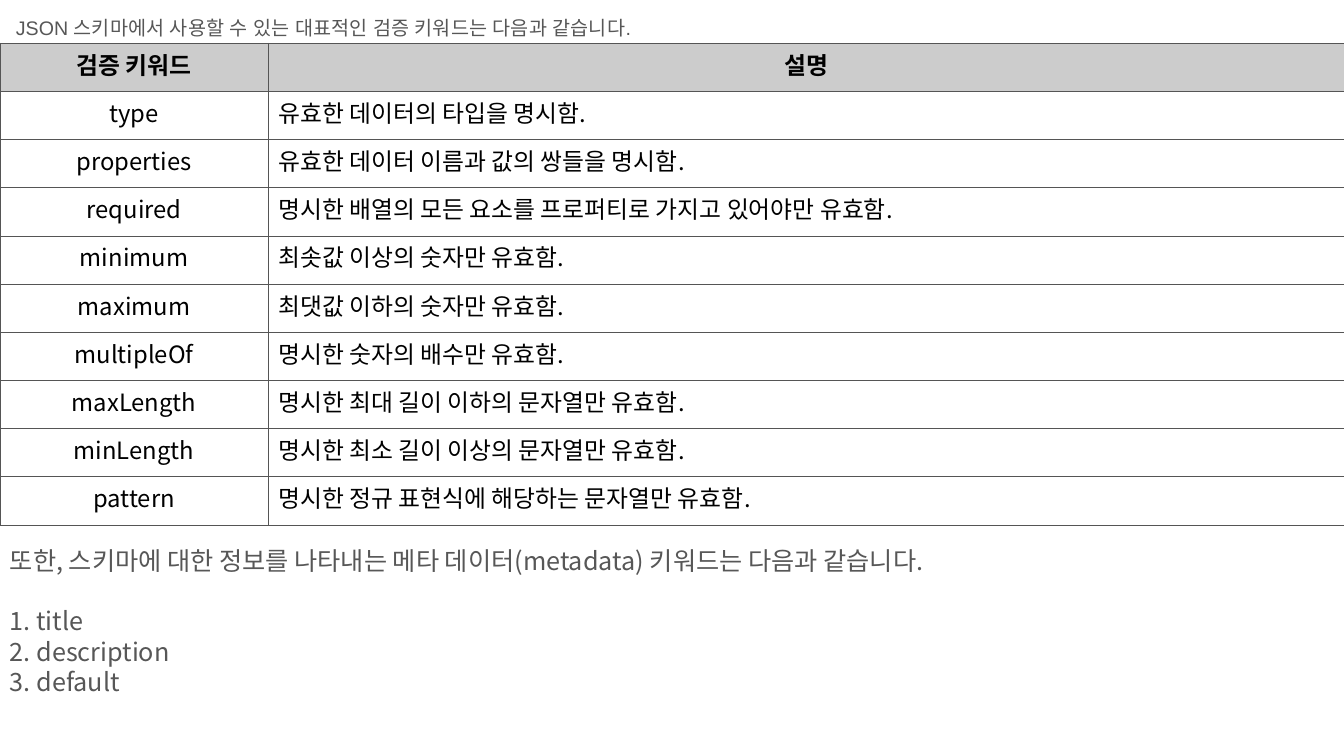
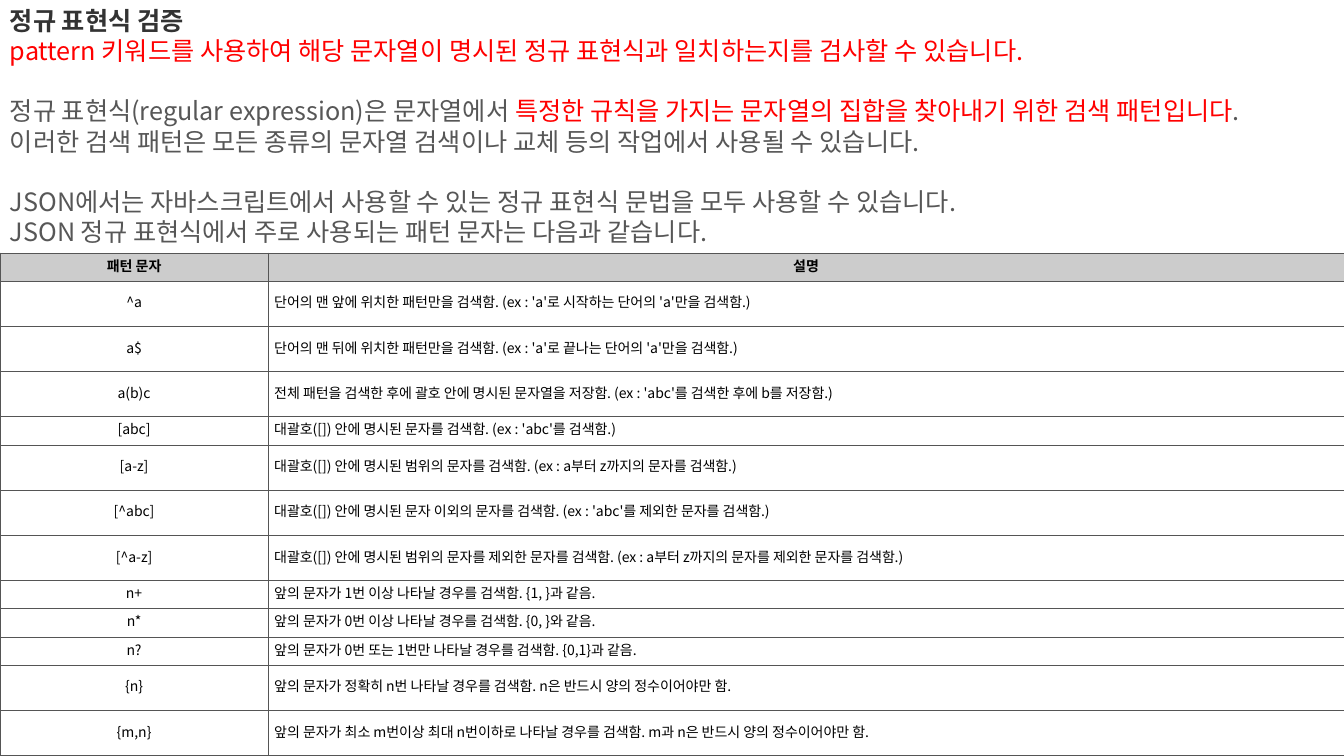
from dataclasses import dataclass

from lxml import etree
from pptx import Presentation
from pptx.dml.color import RGBColor
from pptx.enum.text import MSO_ANCHOR as Anchor, MSO_AUTO_SIZE as AutoSize, PP_ALIGN as Align
from pptx.oxml import parse_xml
from pptx.oxml.ns import nsdecls, qn
from pptx.util import Inches, Pt


@dataclass(frozen=True)
class Theme:
    """Colours, fonts and type sizes shared by the slides."""
    body: str = "575757"
    heading: str = "333333"
    accent: str = "FF0000"
    ink: str = "000000"
    header_fill: str = "CCCCCC"
    cell_fill: str = "FFFFFF"
    border: str = "555555"
    border_width: float = 0.75
    font: str = "Noto Sans CJK KR"
    intro_font: str = "Arial"
    body_size: int = 18
    intro_size: int = 14
    keyword_size: int = 17
    pattern_size: int = 10
    leading: float = 1.2
    cell_leading: float = 1.15


theme = Theme()
line_gap = theme.body_size * theme.leading


def write(frame, text, size=theme.body_size, color=theme.body, font=theme.font, bold=False,
          align=Align.LEFT, leading=theme.leading, gap=0, same_line=False):
    """Write a run on a new paragraph, or on the last one if same_line."""
    paragraph = frame.paragraphs[-1]
    if not same_line:
        if paragraph.runs:
            paragraph = frame.add_paragraph()
        paragraph.alignment = align
        paragraph.line_spacing = Pt(size * leading)
        paragraph.space_before = Pt(gap)
    run = paragraph.add_run()
    run.text = text
    run.font.size = Pt(size)
    run.font.bold = bold
    run.font.name = font
    run.font.color.rgb = RGBColor.from_string(color)
    east_asian = etree.SubElement(run.font._element, qn("a:ea"))
    east_asian.set("typeface", font)


def draw_table(slide, top, heights, rows, size, inset):
    """Draw a two-column table with a grey header row."""
    columns = (2.66, 10.67)
    table = slide.shapes.add_table(len(rows), len(columns), 0, Inches(top),
                                   Inches(sum(columns)), Inches(sum(heights))).table
    table.first_row = table.horz_banding = False
    for column, width in zip(table.columns, columns):
        column.width = Inches(width)
    for r, (height, texts) in enumerate(zip(heights, rows)):
        table.rows[r].height = Inches(height)
        for c, text in enumerate(texts):
            header = r == 0
            cell = table.cell(r, c)
            cell.vertical_anchor = Anchor.MIDDLE
            cell.margin_left = cell.margin_right = Inches(inset)
            cell.margin_top = cell.margin_bottom = Inches(inset)
            cell.fill.solid()
            cell.fill.fore_color.rgb = RGBColor.from_string(
                theme.header_fill if header else theme.cell_fill)
            properties = cell._tc.get_or_add_tcPr()
            for i, side in enumerate(("lnL", "lnR", "lnT", "lnB")):
                properties.insert(i, parse_xml(
                    f'<a:{side} {nsdecls("a")} w="{Pt(theme.border_width)}"><a:solidFill>'
                    f'<a:srgbClr val="{theme.border}"/></a:solidFill></a:{side}>'))
            write(cell.text_frame, text, size=size, color=theme.ink, bold=header,
                  align=Align.CENTER if header or c == 0 else Align.LEFT,
                  leading=theme.cell_leading)


deck = Presentation()
deck.slide_width, deck.slide_height = Inches(13.33), Inches(7.5)
keyword_slide, pattern_slide = (deck.slides.add_slide(deck.slide_layouts[6]) for _ in range(2))

keywords = [
    ("검증 키워드", "설명"),
    ("type", "유효한 데이터의 타입을 명시함."),
    ("properties", "유효한 데이터 이름과 값의 쌍들을 명시함."),
    ("required", "명시한 배열의 모든 요소를 프로퍼티로 가지고 있어야만 유효함."),
    ("minimum", "최솟값 이상의 숫자만 유효함."),
    ("maximum", "최댓값 이하의 숫자만 유효함."),
    ("multipleOf", "명시한 숫자의 배수만 유효함."),
    ("maxLength", "명시한 최대 길이 이하의 문자열만 유효함."),
    ("minLength", "명시한 최소 길이 이상의 문자열만 유효함."),
    ("pattern", "명시한 정규 표현식에 해당하는 문자열만 유효함."),
]
draw_table(keyword_slide, 0.43, [4.78 / len(keywords)] * len(keywords), keywords,
           theme.keyword_size, 0.1)

patterns = [
    ("패턴 문자", "설명"),
    ("^a", "단어의 맨 앞에 위치한 패턴만을 검색함. (ex : 'a'로 시작하는 단어의 'a'만을 검색함.)"),
    ("a$", "단어의 맨 뒤에 위치한 패턴만을 검색함. (ex : 'a'로 끝나는 단어의 'a'만을 검색함.)"),
    ("a(b)c", "전체 패턴을 검색한 후에 괄호 안에 명시된 문자열을 저장함. "
              "(ex : 'abc'를 검색한 후에 b를 저장함.)"),
    ("[abc]", "대괄호([]) 안에 명시된 문자를 검색함. (ex : 'abc'를 검색함.)"),
    ("[a-z]", "대괄호([]) 안에 명시된 범위의 문자를 검색함. (ex : a부터 z까지의 문자를 검색함.)"),
    ("[^abc]", "대괄호([]) 안에 명시된 문자 이외의 문자를 검색함. "
               "(ex : 'abc'를 제외한 문자를 검색함.)"),
    ("[^a-z]", "대괄호([]) 안에 명시된 범위의 문자를 제외한 문자를 검색함. "
               "(ex : a부터 z까지의 문자를 제외한 문자를 검색함.)"),
    ("n+", "앞의 문자가 1번 이상 나타날 경우를 검색함. {1, }과 같음."),
    ("n*", "앞의 문자가 0번 이상 나타날 경우를 검색함. {0, }와 같음."),
    ("n?", "앞의 문자가 0번 또는 1번만 나타날 경우를 검색함. {0,1}과 같음."),
    ("{n}", "앞의 문자가 정확히 n번 나타날 경우를 검색함. n은 반드시 양의 정수이어야만 함."),
    ("{m,n}", "앞의 문자가 최소 m번이상 최대 n번이하로 나타날 경우를 검색함. "
              "m과 n은 반드시 양의 정수이어야만 함."),
]
short_rows, short = {0, 4, 8, 9, 10}, 0.28
tall = (4.99 - short * len(short_rows)) / (len(patterns) - len(short_rows))
draw_table(pattern_slide, 2.51,
           [short if r in short_rows else tall for r in range(len(patterns))],
           patterns, theme.pattern_size, 0.06)

intro = [("JSON\u00a0스키마에서 사용할 수 있는 대표적인 검증 키워드는 다음과\u00a0같습니다.",
          dict(size=theme.intro_size, font=theme.intro_font))]
metadata = [
    ("또한, 스키마에 대한 정보를 나타내는 메타 데이터(metadata) 키워드는 다음과 같습니다.", {}),
    ("1. title", dict(gap=line_gap)),
    ("2. description", {}),
    ("3. default", {}),
]
regex = [
    ("정규 표현식 검증", dict(color=theme.heading, bold=True)),
    ("pattern 키워드를 사용하여\u00a0해당 문자열이 명시된 정규 표현식과 일치하는지를 "
     "검사할 수 있습니다.", dict(color=theme.accent)),
    ("정규 표현식(regular expression)은 문자열에서 ", dict(gap=line_gap)),
    ("특정한 규칙을 가지는 문자열의\u00a0집합을 찾아내기 위한 검색 패턴입니다",
     dict(color=theme.accent, same_line=True)),
    (".", dict(same_line=True)),
    ("이러한 검색 패턴은 모든 종류의\u00a0문자열 검색이나 교체 등의 작업에서 "
     "사용될\u00a0수 있습니다.", {}),
    ("JSON에서는 자바스크립트에서 사용할 수 있는 정규 표현식 문법을 모두 사용할 수 있습니다.",
     dict(gap=line_gap)),
    ("JSON 정규 표현식에서 주로 사용되는 패턴 문자는 다음과 같습니다.", {}),
]
for slide, box, anchor, passages in (
    (keyword_slide, (0.06, 0.1, 6.77, 0.34), Anchor.MIDDLE, intro),
    (keyword_slide, (0, 5.36, 13.33, 1.62), Anchor.TOP, metadata),
    (pattern_slide, (0, 0, 13.33, 2.52), Anchor.TOP, regex),
):
    frame = slide.shapes.add_textbox(*map(Inches, box)).text_frame
    frame.word_wrap = True
    frame.auto_size = AutoSize.SHAPE_TO_FIT_TEXT
    frame.vertical_anchor = anchor
    for text, style in passages:
        write(frame, text, **style)

deck.save("out.pptx")
